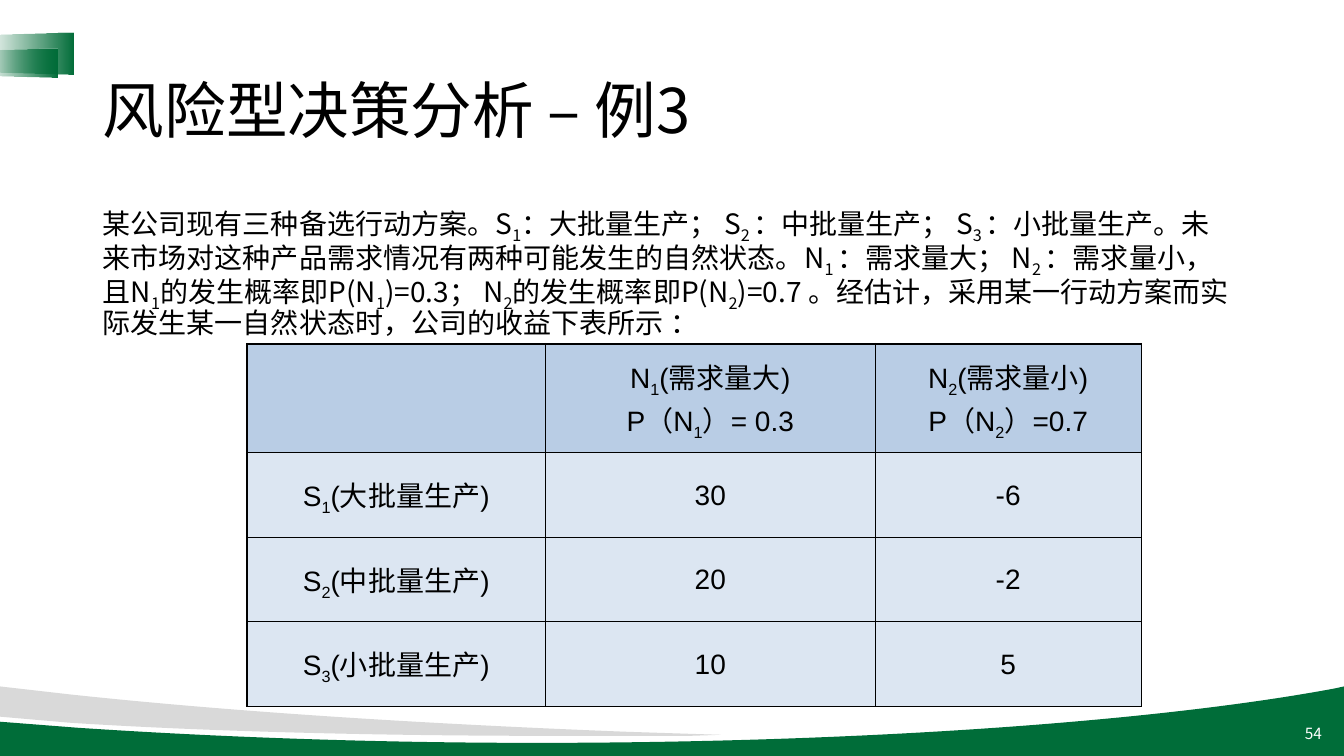
from lxml.etree import SubElement
from pptx import Presentation
from pptx.dml.color import RGBColor
from pptx.enum.shapes import MSO_SHAPE as SHAPE
from pptx.enum.text import MSO_ANCHOR as ANCHOR, PP_ALIGN as ALIGN
from pptx.oxml.ns import qn
from pptx.util import Inches, Pt

COLORS = {"green": "006D39", "gray": "D9D9D9", "head": "B9CDE5",
          "body": "DCE6F2", "black": "000000", "white": "FFFFFF"}
CJK = "Noto Sans CJK SC"

# Text between a pair of bars is set as a subscript.
PROBLEM = ("某公司现有三种备选行动方案。S|1|：大批量生产； S|2 |：中批量生产； S|3 |：小批量生产。"
           "未来市场对这种产品需求情况有两种可能发生的自然状态。N|1 |：需求量大； N|2 |：需求量小，"
           "且N|1|的发生概率即P(N|1|)=0.3； N|2|的发生概率即P(N|2|)=0.7 。"
           "经估计，采用某一行动方案而实际发生某一自然状态时，公司的收益下表所示 ：")
PAYOFFS = [
    ["", "N|1|(需求量大)\nP（N|1|）= 0.3", "N|2|(需求量小)\nP（N|2|）=0.7"],
    ["S|1|(大批量生产)", "30", "-6"],
    ["S|2|(中批量生产)", "20", "-2"],
    ["S|3|(小批量生产)", "10", "5"],
]
# Each wave is a start point followed by lines (one point) or curves (three points).
GREEN_WAVE = [[(13.33, 6.81)], [(13.33, 7.5)], [(0, 7.5)], [(0, 7.16)], [(0.77, 7.22)],
              [(2.12, 7.31), (3.67, 7.37), (5.32, 7.37)],
              [(8.62, 7.37), (11.53, 7.15), (13.24, 6.83)]]
GRAY_WAVE = [[(0, 6.81)], [(0.7, 6.89)], [(2.29, 7.06), (4.17, 7.18), (6.22, 7.26)],
             [(7.15, 7.29)], [(6.84, 7.3)], [(6.4, 7.3), (5.94, 7.3), (5.48, 7.3)],
             [(3.61, 7.3), (1.92, 7.25), (0.69, 7.17)], [(0, 7.11)]]


def color(name):
    return RGBColor.from_string(COLORS[name])


def write(frame, text, size, align=ALIGN.LEFT, font=CJK, ink="black", spacing=None):
    for i, line in enumerate(text.split("\n")):
        para = frame.paragraphs[0] if i == 0 else frame.add_paragraph()
        para.alignment, para.line_spacing = align, spacing
        para.font.size, para.font.name = Pt(size), font
        para.font.color.rgb = color(ink)
        defaults = para._p.pPr.find(qn("a:defRPr"))
        SubElement(defaults, qn("a:ea"), typeface=CJK)
        for j, piece in enumerate(line.split("|")):
            run = para.add_run()
            run.text = piece
            if j % 2:
                run._r.get_or_add_rPr().set("baseline", "-25000")


def add_wave(slide, segments, fill):
    """Add a filled outline, joining the three points of each curve into a Bezier."""
    points = [(x * 100, y * 100) for segment in segments for x, y in segment]
    builder = slide.shapes.build_freeform(*points[0], scale=Inches(0.01))
    builder.add_line_segments(points[1:], close=True)
    wave = builder.convert_to_shape()
    lines = iter(wave._element.findall(".//" + qn("a:lnTo")))
    for segment in segments[1:]:
        first, *others = [next(lines) for _ in segment]
        if others:
            curve = first.makeelement(qn("a:cubicBezTo"))
            first.addprevious(curve)
            for line in (first, *others):
                curve.append(line[0])
                line.getparent().remove(line)
    wave.shadow.inherit = False
    wave.fill.solid()
    wave.fill.fore_color.rgb = color(fill)
    wave.line.fill.background()


def add_ribbon(slide, left, top, width, height):
    """Add a sideways trapezoid that fades out towards the left edge."""
    ribbon = slide.shapes.add_shape(SHAPE.TRAPEZOID, *map(Inches, (left, top, width, height)))
    ribbon.rotation = 270
    ribbon.adjustments[0] = 0.07
    ribbon.shadow.inherit = False
    ribbon.line.fill.background()
    ribbon.fill.gradient()
    ribbon.fill.gradient_angle = 0
    for stop in ribbon.fill.gradient_stops:
        stop.color.rgb = color("green")
    gradient = ribbon._element.spPr.find(qn("a:gradFill"))
    gradient.set("rotWithShape", "0")
    SubElement(gradient.find(".//" + qn("a:srgbClr")), qn("a:alpha"), val="0")


def add_text(slide, box, text, size, anchor=ANCHOR.TOP, **style):
    frame = slide.shapes.add_textbox(*map(Inches, box)).text_frame
    frame.word_wrap = True
    frame.vertical_anchor = anchor
    write(frame, text, size, **style)


def set_title(slide, box, text):
    title = slide.shapes.title
    title.left, title.top, title.width, title.height = map(Inches, box)
    title.text_frame.vertical_anchor = ANCHOR.MIDDLE
    write(title.text_frame, text, 44, spacing=0.9)


def set_borders(cell, widths):
    for side, width in widths.items():
        line = SubElement(cell._tc.get_or_add_tcPr(), qn("a:ln" + side), w=str(Pt(width)))
        fill = SubElement(line, qn("a:solidFill"))
        SubElement(fill, qn("a:srgbClr"), val=COLORS["black"])


def add_payoffs(slide, left, top, col_widths, row_heights):
    size = sum(col_widths), sum(row_heights)
    table = slide.shapes.add_table(len(row_heights), len(col_widths),
                                   *map(Inches, (left, top, *size))).table
    for column, width in zip(table.columns, col_widths):
        column.width = Inches(width)
    for r, (row, height) in enumerate(zip(table.rows, row_heights)):
        row.height = Inches(height)
        for c, cell in enumerate(row.cells):
            set_borders(cell, {"L": 1 if c else 1.5, "R": 1, "T": 1 if r else 1.5,
                               "B": 1.5 if r == len(row_heights) - 1 else 1})
            cell.fill.solid()
            cell.fill.fore_color.rgb = color("body" if r else "head")
            cell.margin_left = cell.margin_right = cell.margin_top = Inches(0.01)
            cell.margin_bottom = 0
            cell.vertical_anchor = ANCHOR.MIDDLE
            if PAYOFFS[r][c]:
                write(cell.text_frame, PAYOFFS[r][c], 20, ALIGN.CENTER, "Arial")


def add_decor(slide):
    add_wave(slide, GREEN_WAVE, "green")
    add_wave(slide, GRAY_WAVE, "gray")
    add_ribbon(slide, 0.08, 0.09, 0.41, 0.88)
    add_ribbon(slide, 0.06, 0.26, 0.29, 0.73)
    add_text(slide, (10.21, 7.08, 3, 0.4), "54", 11, ANCHOR.MIDDLE,
             align=ALIGN.RIGHT, ink="white")


def main():
    deck = Presentation()
    deck.slide_width, deck.slide_height = Inches(13.33), Inches(7.5)
    slide = deck.slides.add_slide(deck.slide_layouts[5])
    add_decor(slide)
    set_title(slide, (0.92, 0.4, 11.5, 1.45), "风险型决策分析 – 例3")
    add_text(slide, (0.92, 2, 11.42, 1.4), PROBLEM, 20, spacing=0.9)
    add_payoffs(slide, 2.45, 3.41, [2.96, 3.27, 2.64], [1.08] + [0.84] * 3)
    deck.save("out.pptx")


if __name__ == "__main__":
    main()
